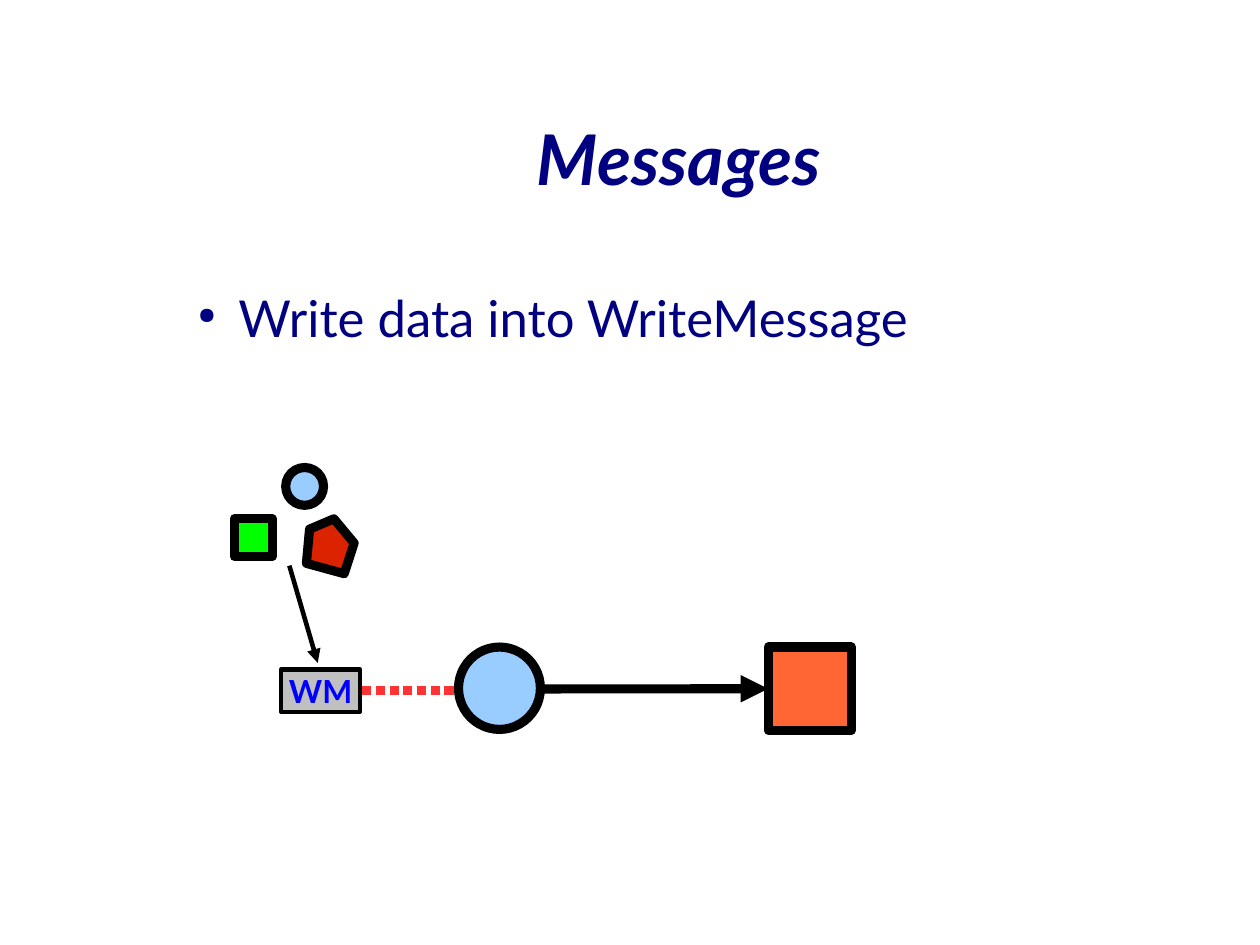
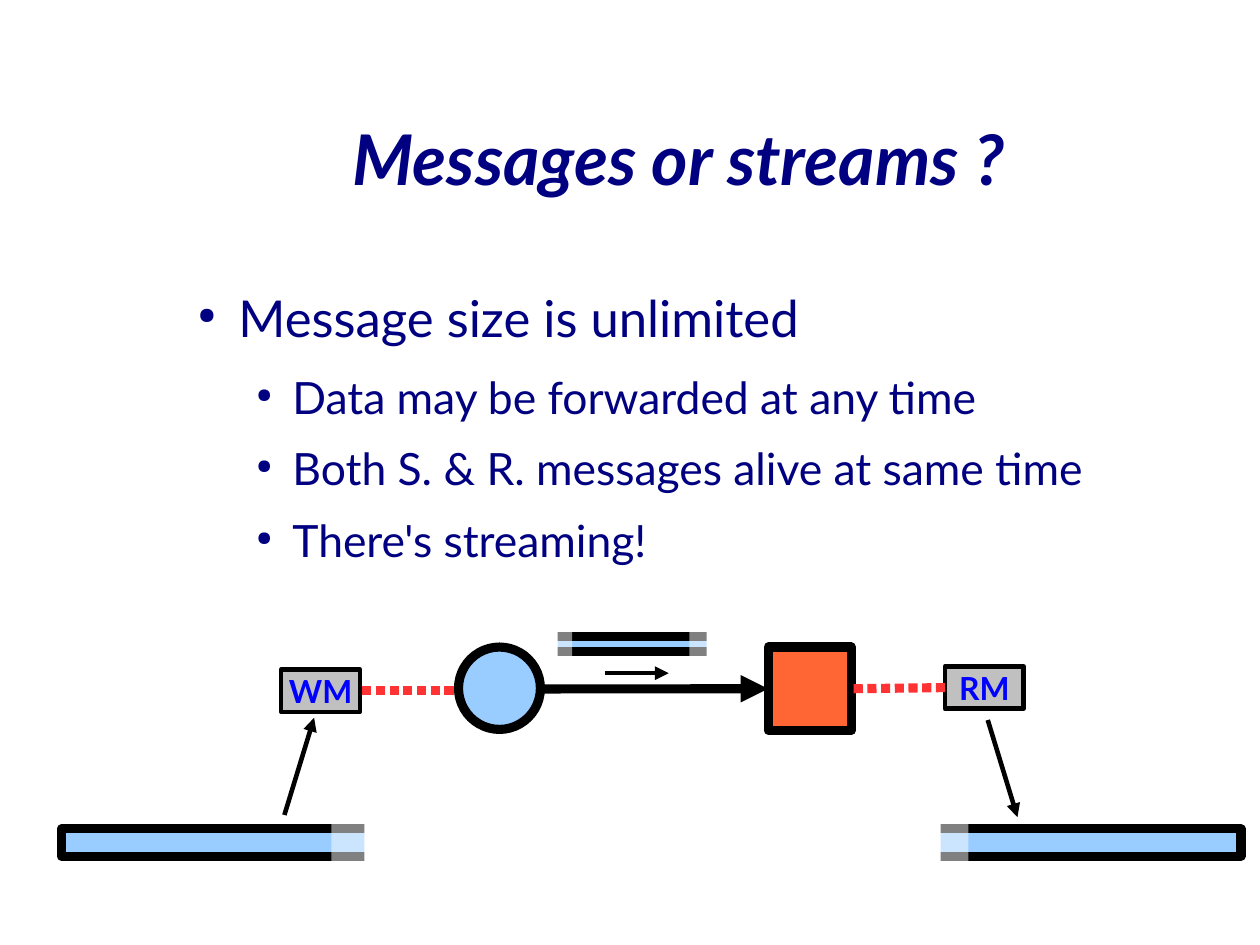
from lxml.etree import SubElement
from pptx import Presentation
from pptx.dml.color import RGBColor
from pptx.enum.shapes import MSO_CONNECTOR, MSO_SHAPE
from pptx.enum.text import MSO_ANCHOR, PP_ALIGN
from pptx.oxml.ns import qn
from pptx.util import Cm, Pt

NAVY, BLACK, WHITE, SKY = "000080", "000000", "FFFFFF", "99CCFF"
GREY, BLUE, ORANGE, RED = "C0C0C0", "0000FF", "FF6633", "FF3333"
GREEN, BRICK = "00FF00", "DC2300"
THICK, THIN = 5.75, 2.9
TOP, LEFT, RIGHT = 0, 1, 3

FRAME = {"margin_left": 0, "margin_top": 0, "margin_right": 0,
         "margin_bottom": 0, "word_wrap": True}
TITLE_FONT = {"name": "Lato", "size": Pt(44), "bold": True, "italic": True}
LABEL_FONT = {"name": "Lato", "size": Pt(20), "bold": True}
LEVELS = [
    {"size": 32, "margin": 1.2, "hanging": 0.9, "after": 14.1},
    {"size": 28, "margin": 2.4, "hanging": 0.8, "after": 11.3},
]


def rgb(color):
    """Turn a hex string into a colour."""
    return RGBColor.from_string(color)


def apply(target, formats):
    """Set every format value on the target."""
    for name, value in formats.items():
        setattr(target, name, value)


def set_line(line, color, width):
    """Give a line its colour and width."""
    line.color.rgb = rgb(color)
    line.width = Pt(width)


def paint(shape, fill, width=None, alpha=None):
    """Fill a shape, outline it in black if a width is given."""
    shape.shadow.inherit = False
    shape.fill.solid()
    shape.fill.fore_color.rgb = rgb(fill)
    if alpha:
        color = shape._element.spPr.find(".//" + qn("a:srgbClr"))
        SubElement(color, qn("a:alpha"), val=str(alpha * 1000))
    if width:
        set_line(shape.line, BLACK, width)
        SubElement(shape.line._get_or_add_ln(), qn("a:round"))
    else:
        shape.line.fill.background()
    return shape


def block(shapes, kind, box, fill, width=None, alpha=None):
    """Add a painted preset shape in a box given in centimetres."""
    return paint(shapes.add_shape(kind, *map(Cm, box)), fill, width, alpha)


def link(shapes, start, end, width=THIN, color=BLACK, dashed=False):
    """Add a dashed link, or else an arrow, between two points."""
    connector = shapes.add_connector(
        MSO_CONNECTOR.STRAIGHT, *map(Cm, (*start, *end)))
    set_line(connector.line, color, width)
    ln = connector.line._get_or_add_ln()
    if dashed:
        dashes = SubElement(ln, qn("a:custDash"))
        SubElement(dashes, qn("a:ds"), d="100000", sp="50000")
    else:
        SubElement(ln, qn("a:tailEnd"), type="triangle")
    SubElement(connector._element.spPr, qn("a:effectLst"))
    return connector


def text_frame(shapes, box):
    """Add a text box without margins and return its frame."""
    frame = shapes.add_textbox(*map(Cm, box)).text_frame
    apply(frame, FRAME)
    return frame


def write(paragraph, text, font, color):
    """Write one formatted run of text."""
    run = paragraph.add_run()
    run.text = text
    apply(run.font, font)
    run.font.color.rgb = rgb(color)


def add_title(shapes, box, text):
    """Place the centred slide title."""
    frame = text_frame(shapes, box)
    frame.vertical_anchor = MSO_ANCHOR.MIDDLE
    frame.paragraphs[0].alignment = PP_ALIGN.CENTER
    write(frame.paragraphs[0], text, TITLE_FONT, NAVY)


def add_points(shapes, box, points):
    """Place the bulleted points, each a level and a text."""
    frame = text_frame(shapes, box)
    for index, (level, text) in enumerate(points):
        point = frame.add_paragraph() if index else frame.paragraphs[0]
        style = LEVELS[level]
        apply(point, {"level": level, "space_after": Pt(style["after"])})
        properties = point._p.get_or_add_pPr()
        properties.set("marL", str(Cm(style["margin"])))
        properties.set("indent", str(-Cm(style["hanging"])))
        bullet_color = SubElement(properties, qn("a:buClr"))
        SubElement(bullet_color, qn("a:srgbClr"), val=NAVY)
        SubElement(properties, qn("a:buSzPct"), val="45000")
        SubElement(properties, qn("a:buChar"), char="●")
        write(point, text, {"name": "Lato", "size": Pt(style["size"])}, NAVY)


def add_message(shapes, left, top, label):
    """Place a labelled message box."""
    message = block(shapes, MSO_SHAPE.RECTANGLE,
                    (left, top, 1.75, 0.94), GREY, THIN)
    frame = message.text_frame
    apply(frame, {**FRAME, "word_wrap": False,
                  "vertical_anchor": MSO_ANCHOR.MIDDLE})
    frame.paragraphs[0].alignment = PP_ALIGN.CENTER
    write(frame.paragraphs[0], label, LABEL_FONT, BLUE)
    return message


def add_channel(shapes, left, top):
    """Place the write message, sender and receiver; return the receiver."""
    block(shapes, MSO_SHAPE.OVAL, (left + 3.94, top, 1.82, 1.83), SKY, THICK)
    receiver = block(shapes, MSO_SHAPE.RECTANGLE,
                     (left + 10.82, top, 1.85, 1.85), ORANGE, THICK)
    middle = top + 0.93
    channel = link(shapes, (left + 5.76, middle), (left + 10.82, middle), THICK)
    channel.end_connect(receiver, LEFT)
    write_message = add_message(shapes, left, top + 0.5, "WM")
    handle = link(shapes, (left + 3.83, top + 0.97),
                  (left + 1.75, top + 0.97), THICK, RED, dashed=True)
    handle.end_connect(write_message, RIGHT)
    return receiver


def add_inbox(shapes, left, top, receiver):
    """Place the read message and join it to the receiver."""
    read_message = add_message(shapes, left, top, "RM")
    handle = link(shapes, (left, top + 0.47), (left - 2.08, top + 0.47),
                  THICK, RED, dashed=True)
    handle.begin_connect(read_message, LEFT)
    handle.end_connect(receiver, RIGHT)


def add_data_items(shapes, left, top):
    """Place the three data items and the arrow into the message."""
    link(shapes, (left + 1.22, top + 2.18), (left + 1.85, top + 4.34))
    block(shapes, MSO_SHAPE.RECTANGLE,
          (left, top + 1.14, 0.84, 0.84), GREEN, THICK)
    block(shapes, MSO_SHAPE.OVAL, (left + 1.14, top, 0.84, 0.84), SKY, THICK)
    corners = [(Cm(left + x), Cm(top + y)) for x, y in (
        (1.67, 1.37), (2.21, 1.14), (2.66, 1.68), (2.44, 2.36), (1.6, 2.13))]
    outline = shapes.build_freeform(*corners[0], scale=1.0)
    outline.add_line_segments(corners[1:], close=True)
    paint(outline.convert_to_shape(), BRICK, THICK)


def add_stream(shapes, box, fade, ends):
    """Place a data bar that fades out at the given ends."""
    left, top, width, height = box
    block(shapes, MSO_SHAPE.RECTANGLE, box, SKY, THICK)
    offsets = {"right": (width - 0.48 * fade, width - 1.41 * fade),
               "left": (-0.45 * fade, 0.33 * fade)}
    for end in ends:
        for offset, alpha in zip(offsets[end], (None, 50)):
            block(shapes, MSO_SHAPE.RECTANGLE,
                  (left + offset, top - 0.55 * height, fade, 2.1 * height),
                  WHITE, alpha=alpha)


def add_streaming(shapes, left, top, receiver):
    """Place the read side and the streams moving through the channel."""
    add_inbox(shapes, left + 19.63, top + 0.84, receiver)
    link(shapes, (left + 4.95, top + 4.14), (left + 5.61, top + 1.98))
    add_stream(shapes, (left, top + 4.45, 7.11, 0.61), 0.79, ["right"])
    add_stream(shapes, (left + 19.1, top + 4.45, 7.11, 0.61), 0.79, ["left"])
    link(shapes, (left + 12.07, top + 0.99), (left + 13.49, top + 0.99))
    link(shapes, (left + 20.58, top + 2.03), (left + 21.24, top + 4.19))
    packet = shapes.add_group_shape().shapes
    add_stream(packet, (left + 10.8, top + 0.18, 3.73, 0.33), 0.41,
               ["right", "left"])


def add_slide(deck, title, points):
    """Add a slide with title, points and channel; return shapes, receiver."""
    shapes = deck.slides.add_slide(deck.slide_layouts[6]).shapes
    add_title(shapes, (4.2, 1.75, 21.77, 3.5), title)
    add_points(shapes, (4.1, 6.37, 23.9, 13.23), points)
    return shapes, add_channel(shapes, 6.25, 14.38)


def main():
    """Build and save the deck."""
    deck = Presentation()
    apply(deck, {"slide_width": Cm(28), "slide_height": Cm(21)})

    shapes, _ = add_slide(deck, "Messages",
                          [(0, "Write data into WriteMessage")])
    add_data_items(shapes, 5.21, 10.39)

    shapes, receiver = add_slide(deck, "Messages or streams ?", [
        (0, "Message size is unlimited"),
        (1, "Data may be forwarded at any time"),
        (1, "Both S. & R. messages alive at same time"),
        (1, "There's streaming!"),
    ])
    add_streaming(shapes, 1.37, 13.97, receiver)
    deck.save("out.pptx")


if __name__ == "__main__":
    main()
